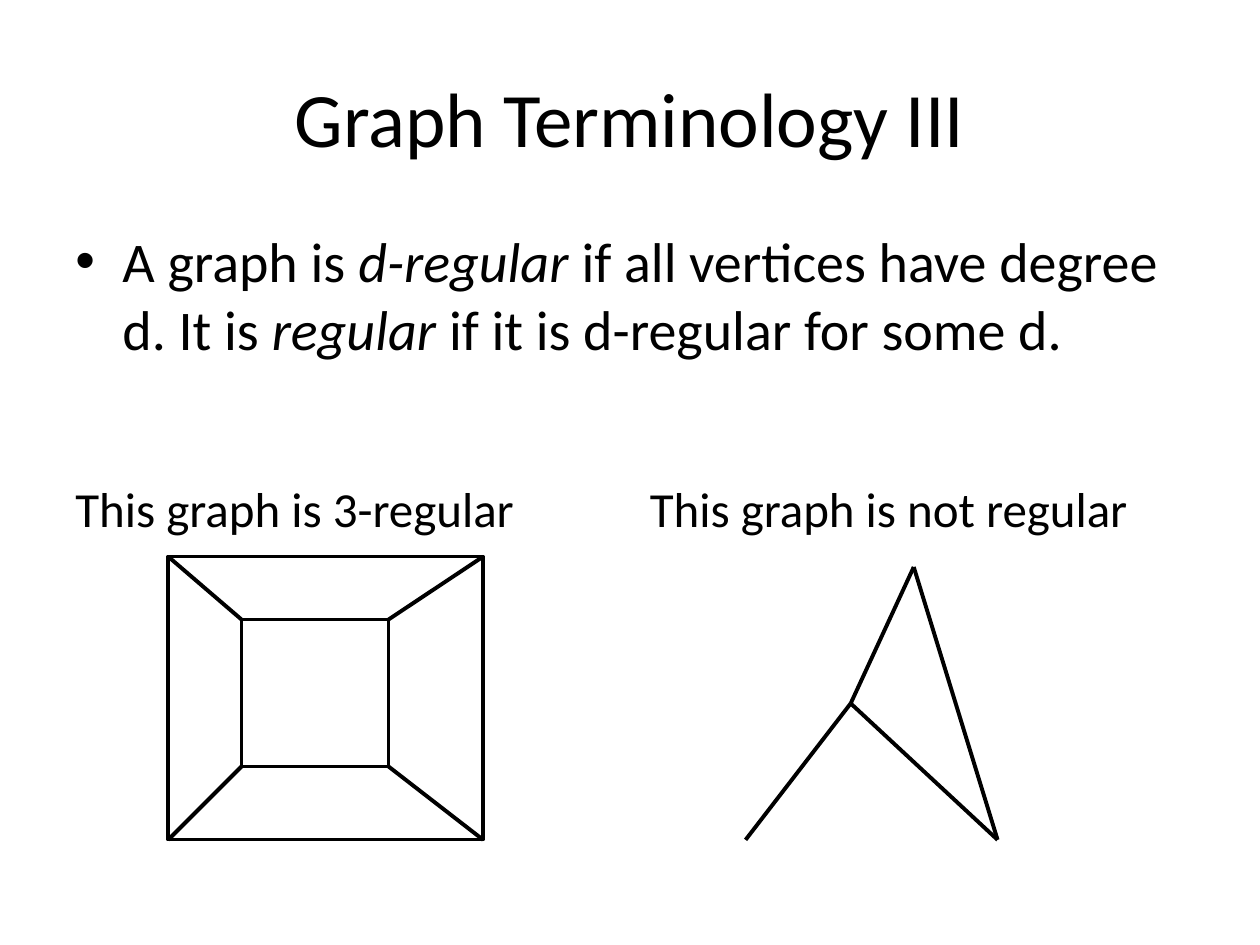
"""Builds a slide that contrasts a regular graph with one that is not regular."""
from lxml.etree import SubElement
from pptx import Presentation
from pptx.dml.color import RGBColor
from pptx.enum.shapes import MSO_CONNECTOR, MSO_SHAPE
from pptx.enum.text import MSO_ANCHOR, PP_ALIGN
from pptx.oxml.ns import qn
from pptx.util import Cm, Pt


def color(value):
    return RGBColor.from_string(value)


class GraphSlide:
    font = "Calibri"
    ink = "000000"

    def __init__(self, deck):
        self.slide = deck.slides.add_slide(deck.slide_layouts[5])

    def add_runs(self, paragraph, runs, size):
        for wording, italic in runs:
            run = paragraph.add_run()
            run.text = wording
            run.font.name = self.font
            run.font.size = Pt(size)
            run.font.italic = italic
            run.font.color.rgb = color(self.ink)

    def title(self, wording, left, top, width, height):
        heading = self.slide.shapes.title
        heading.left, heading.top = Cm(left), Cm(top)
        heading.width, heading.height = Cm(width), Cm(height)
        heading.text_frame.vertical_anchor = MSO_ANCHOR.MIDDLE
        paragraph = heading.text_frame.paragraphs[0]
        paragraph.alignment = PP_ALIGN.CENTER
        self.add_runs(paragraph, [(wording, False)], 44)

    def text(self, runs, left, top, width, height, size, wrap=True):
        box = self.slide.shapes.add_textbox(Cm(left), Cm(top), Cm(width), Cm(height))
        box.text_frame.word_wrap = wrap
        paragraph = box.text_frame.paragraphs[0]
        self.add_runs(paragraph, runs, size)
        return paragraph

    def bullet(self, runs, left, top, width, height, size):
        paragraph = self.text(runs, left, top, width, height, size)
        properties = paragraph._p.get_or_add_pPr()
        properties.set("marL", str(Cm(0.95)))
        properties.set("indent", str(-Cm(0.95)))
        SubElement(properties, qn("a:buFont"), typeface="Arial")
        SubElement(properties, qn("a:buChar"), char="•")

    def square(self, left, top, right, bottom):
        outline = self.slide.shapes.add_shape(
            MSO_SHAPE.RECTANGLE, Cm(left), Cm(top), Cm(right - left), Cm(bottom - top))
        outline.shadow.inherit = False
        outline.fill.background()
        outline.line.color.rgb = color(self.ink)
        outline.line.width = Pt(2)

    def edge(self, start, end):
        line = self.slide.shapes.add_connector(
            MSO_CONNECTOR.STRAIGHT, *(Cm(length) for length in (*start, *end)))
        line.line.color.rgb = color(self.ink)
        line.line.width = Pt(2.25)
        SubElement(line._element.spPr, qn("a:effectLst"))


def corners(left, top, right, bottom):
    return [(x, y) for x in (left, right) for y in (top, bottom)]


def main():
    deck = Presentation()
    deck.slide_width, deck.slide_height = Cm(25.4), Cm(19.05)
    page = GraphSlide(deck)
    page.title("Graph Terminology III", 1.27, 0.76, 22.86, 3.18)
    page.bullet([
        ("A graph is ", False),
        ("d-regular", True),
        (" if all vertices have degree d. It is ", False),
        ("regular", True),
        (" if it is d-regular for some d.", False),
    ], 1.27, 4.45, 22.86, 4.88, 32)

    outer = (3.39, 11.22, 9.74, 16.93)
    inner = (4.87, 12.49, 7.83, 15.45)
    for square in (outer, inner):
        page.square(*square)
    for spoke in zip(corners(*inner), corners(*outer)):
        page.edge(*spoke)

    hub, apex, leaf, base = (17.15, 14.18), (18.42, 11.43), (15.03, 16.93), (20.11, 16.93)
    for start, end in ((hub, leaf), (hub, base), (hub, apex), (apex, base)):
        page.edge(start, end)

    page.text([("This graph is 3-regular", False)], 1.27, 9.53, 11, 1.45, 28)
    page.text([("This graph is not regular", False)], 12.85, 9.53, 10.16, 1.45, 28, wrap=False)
    deck.save("out.pptx")


if __name__ == "__main__":
    main()
